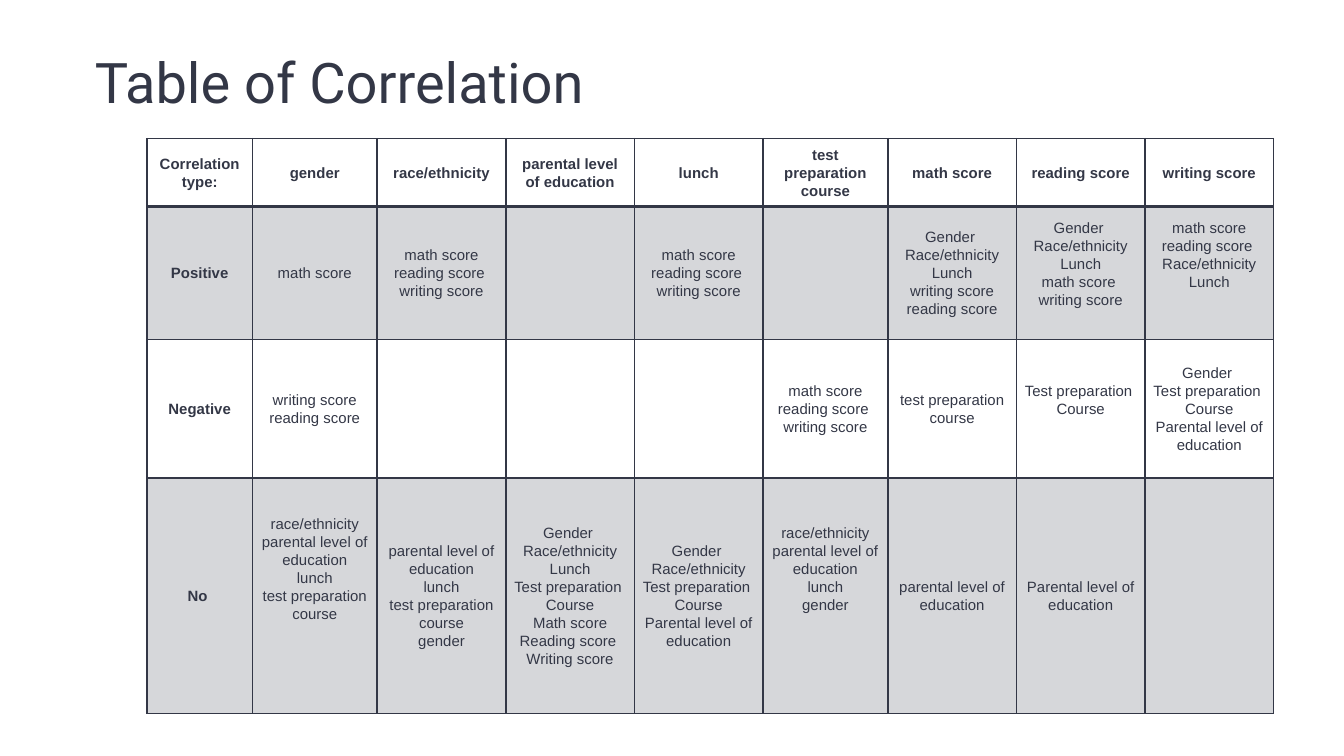
import lxml.etree
import pptx
import pptx.dml.color
import pptx.enum.text
import pptx.oxml
import pptx.oxml.ns
import pptx.util

Cm = pptx.util.Cm
Pt = pptx.util.Pt
INK = "333746"
LINE_HEIGHT = 0.34  # one line of cell text, in cm

COLUMN_WIDTHS = [1.99, 2.36, 2.43, 2.43, 2.43, 2.36, 2.43, 2.43, 2.43]
ROW_HEIGHTS = [1.28, 2.52, 2.61, 4.46]

SCORES = "math score\nreading score \nwriting score"
CORRELATIONS = [
    ["Correlation type:", "gender", "race/ethnicity", "parental level of education",
     "lunch", "test preparation course", "math score", "reading score",
     "writing score"],
    ["Positive", "math score", SCORES, "", SCORES, "",
     "Gender \nRace/ethnicity\nLunch\nwriting score\nreading score",
     "Gender \nRace/ethnicity\nLunch\nmath score \nwriting score",
     "math score\nreading score \nRace/ethnicity\nLunch"],
    ["Negative", "writing score\nreading score", "", "", "", SCORES,
     "test preparation course",
     "Test preparation \nCourse",
     "Gender \nTest preparation \nCourse\nParental level of education"],
    ["No ",
     "race/ethnicity\nparental level of education\nlunch\ntest preparation course",
     "parental level of education\nlunch\ntest preparation\ncourse\ngender",
     "Gender \nRace/ethnicity\nLunch\nTest preparation \nCourse\n"
     "Math score\nReading score \nWriting score",
     "Gender \nRace/ethnicity\nTest preparation \nCourse\nParental level of education",
     "race/ethnicity\nparental level of education\nlunch\ngender",
     "parental level of education", "Parental level of education", ""],
]
# Lines of room kept free below the text, by (row, column)
LINES_BELOW = {(1, 7): 1, (1, 8): 2, (2, 7): 1, (3, 1): 3, (3, 5): 3}


def color(hex_value):
    return pptx.dml.color.RGBColor.from_string(hex_value)


def format_text(frame, font_name, size, spacing, bold=False):
    for paragraph in frame.paragraphs:
        paragraph.alignment = pptx.enum.text.PP_ALIGN.CENTER
        paragraph.line_spacing = spacing
        for run in paragraph.runs:
            run.font.name = font_name
            run.font.size = Pt(size)
            run.font.bold = bold
            run.font.color.rgb = color(INK)


def fill_tinted(cell):
    cell.fill.solid()
    cell.fill.fore_color.rgb = color(INK)
    srgb = cell.fill._xPr.find(".//" + pptx.oxml.ns.qn("a:srgbClr"))
    lxml.etree.SubElement(srgb, pptx.oxml.ns.qn("a:alpha"), val="20000")


def set_borders(cell, top, bottom):
    """Draw the four borders; top and bottom are widths in points."""
    properties = cell._tc.get_or_add_tcPr()
    widths = {"lnL": 1, "lnR": 1, "lnT": top, "lnB": bottom}
    for index, (side, width) in enumerate(widths.items()):
        properties.insert(index, pptx.oxml.parse_xml(
            f'<a:{side} {pptx.oxml.ns.nsdecls("a")} w="{Pt(width)}">'
            f'<a:solidFill><a:srgbClr val="{INK}"/></a:solidFill></a:{side}>'))


def place_title(slide, left, top, width, height):
    title = slide.shapes.title
    title.left, title.top = Cm(left), Cm(top)
    title.width, title.height = Cm(width), Cm(height)
    frame = title.text_frame
    frame.text = "Table of Correlation"
    frame.vertical_anchor = pptx.enum.text.MSO_ANCHOR.MIDDLE
    frame.margin_left = frame.margin_right = Cm(0.25)
    frame.margin_top = frame.margin_bottom = Cm(0.25)
    format_text(frame, "Roboto", 30, 1.15)


def place_correlations(slide, left, top, width, height):
    table = slide.shapes.add_table(
        len(ROW_HEIGHTS), len(COLUMN_WIDTHS),
        Cm(left), Cm(top), Cm(width), Cm(height)).table
    table.first_row = table.horz_banding = False
    for column, column_width in zip(table.columns, COLUMN_WIDTHS):
        column.width = Cm(column_width)
    for row, row_height in zip(table.rows, ROW_HEIGHTS):
        row.height = Cm(row_height)

    for r, texts in enumerate(CORRELATIONS):
        for c, text in enumerate(texts):
            cell = table.cell(r, c)
            cell.text_frame.text = text
            cell.vertical_anchor = pptx.enum.text.MSO_ANCHOR.MIDDLE
            cell.margin_left = cell.margin_right = Cm(0.15)
            cell.margin_top = 0
            cell.margin_bottom = Cm(LINE_HEIGHT * LINES_BELOW.get((r, c), 0))
            format_text(cell.text_frame, "Arial", 8, 1.07, bold=r == 0 or c == 0)
            if r % 2:
                fill_tinted(cell)
            else:
                cell.fill.background()
            set_borders(cell, top=2 if r == 1 else 1, bottom=2 if r == 0 else 1)


def main():
    presentation = pptx.Presentation()
    presentation.slide_width, presentation.slide_height = Cm(25.4), Cm(14.29)
    slide = presentation.slides.add_slide(presentation.slide_layouts[5])
    place_title(slide, 0.61, 0.64, 11.61, 1.6)
    place_correlations(slide, 2.78, 2.62, sum(COLUMN_WIDTHS), sum(ROW_HEIGHTS))
    presentation.save("out.pptx")


if __name__ == "__main__":
    main()
